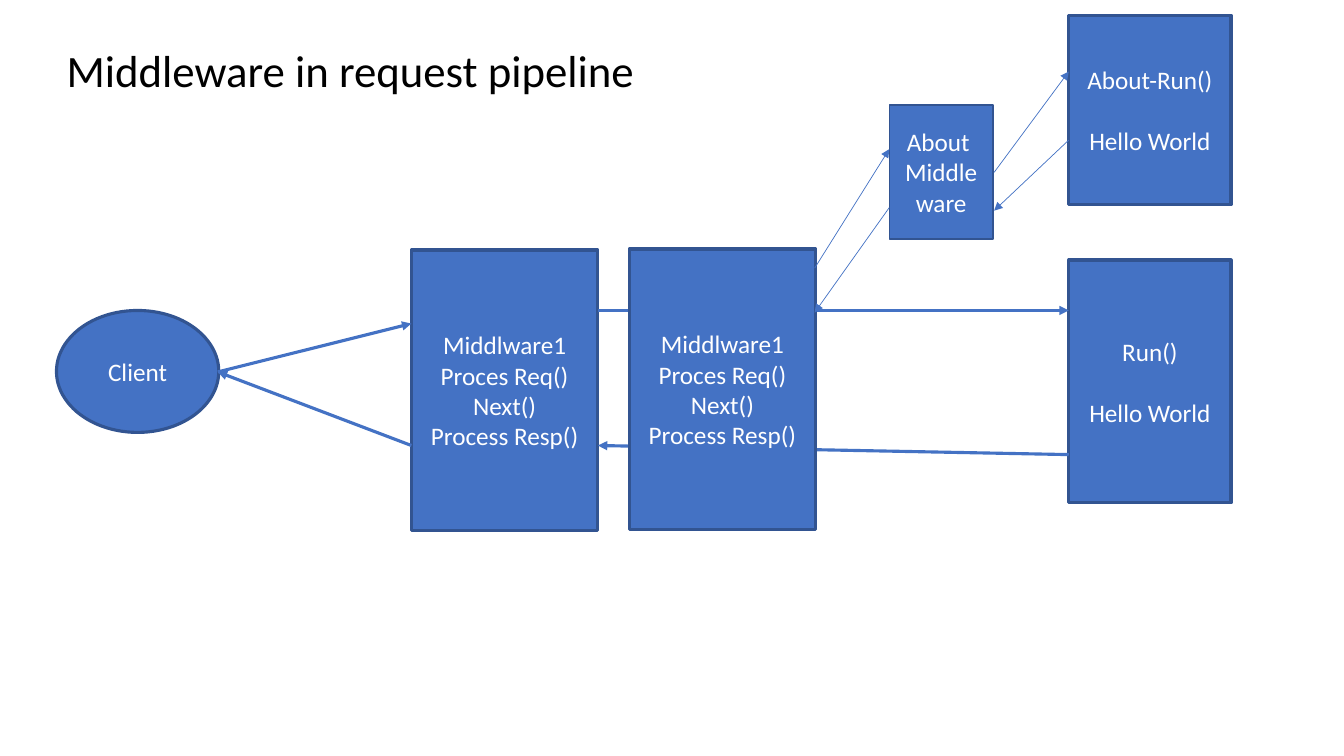
from dataclasses import dataclass

from lxml.etree import SubElement
from pptx import Presentation
from pptx.dml.color import RGBColor
from pptx.enum.shapes import MSO_CONNECTOR, MSO_SHAPE
from pptx.enum.text import MSO_ANCHOR, MSO_AUTO_SIZE, PP_ALIGN
from pptx.oxml.ns import qn
from pptx.util import Inches, Pt


@dataclass(frozen=True)
class Theme:
    font: str = "Calibri"
    black: RGBColor = RGBColor(0, 0, 0)
    white: RGBColor = RGBColor(255, 255, 255)
    blue: RGBColor = RGBColor(0x44, 0x72, 0xC4)
    border: RGBColor = RGBColor(0x32, 0x54, 0x91)
    title_size: int = 32
    body_size: int = 18
    thick: float = 2.25
    medium: float = 1
    thin: float = 0.5


theme = Theme()


def write_text(shape, lines, size=theme.body_size, color=theme.white,
               align=PP_ALIGN.CENTER, anchor=MSO_ANCHOR.MIDDLE, gap=0):
    frame = shape.text_frame
    frame.word_wrap = True
    frame.auto_size = MSO_AUTO_SIZE.NONE
    frame.vertical_anchor = anchor
    frame.margin_left = frame.margin_right = Inches(0.1)
    frame.margin_top = frame.margin_bottom = Inches(0.05)
    for index, line in enumerate(lines):
        paragraph = frame.add_paragraph() if index else frame.paragraphs[0]
        paragraph.alignment = align
        paragraph.space_before = Pt(gap if index else 0)
        run = paragraph.add_run()
        run.text = line
        run.font.name = theme.font
        run.font.size = Pt(size)
        run.font.color.rgb = color


def add_arrow(slide, start, end, width):
    arrow = slide.shapes.add_connector(
        MSO_CONNECTOR.STRAIGHT, *map(Inches, start + end))
    arrow.line.color.rgb = theme.blue
    arrow.line.width = Pt(width)
    SubElement(arrow.line._get_or_add_ln(), qn("a:tailEnd"), type="triangle")
    SubElement(arrow._element.spPr, qn("a:effectLst"))


presentation = Presentation()
presentation.slide_width = Inches(13.33)
presentation.slide_height = Inches(7.5)
slide = presentation.slides.add_slide(presentation.slide_layouts[5])

title = slide.shapes.title
title.left, title.top, title.width, title.height = map(
    Inches, (0.56, 0.37, 7.07, 0.64))
write_text(title, ["Middleware in request pipeline"], size=theme.title_size,
           color=theme.black, align=PP_ALIGN.LEFT, anchor=MSO_ANCHOR.TOP)

client_right = 2.16
first_left, first_right = 4.08, 5.93
second_left, second_right = 6.24, 8.08
about_left, about_right = 8.82, 9.86
run_left = 10.6

rectangle, ellipse = MSO_SHAPE.RECTANGLE, MSO_SHAPE.OVAL
middleware_lines = ["Middlware1", "Proces Req()", "Next()", "Process Resp()"]
blank_line = 22
boxes_behind = [
    (rectangle, (run_left, 2.58, 1.61, 2.41), ["Run()", "Hello World"],
     theme.thick, blank_line),
    (ellipse, (0.56, 3.08, 1.61, 1.21), ["Client"], theme.thick, 0),
    (rectangle, (first_left, 2.48, 1.85, 2.78), middleware_lines,
     theme.thick, 0),
]
main_arrows = [
    ((client_right, 3.69), (first_left, 3.21)),
    ((first_right, 3.08), (run_left, 3.08)),
    ((run_left, 4.51), (first_right, 4.42)),
    ((first_left, 4.42), (client_right, 3.69)),
]
boxes_in_front = [
    (rectangle, (second_left, 2.47, 1.85, 2.78), middleware_lines,
     theme.thick, 0),
    (rectangle, (run_left, 0.15, 1.61, 1.88), ["About-Run()", "Hello World"],
     theme.thick, blank_line),
    (rectangle, (about_left, 1.04, 1.03, 1.33), ["About ", "Middleware"],
     theme.medium, 0),
]
branch_arrows = [
    ((second_right, 2.66), (about_left, 1.48)),
    ((about_right, 1.71), (run_left, 0.71)),
    ((run_left, 1.39), (about_right, 2.09)),
    ((about_left, 2.06), (second_right, 3.1)),
]

for boxes, arrows, arrow_width in [
    (boxes_behind, main_arrows, theme.thick),
    (boxes_in_front, branch_arrows, theme.thin),
]:
    for kind, place, lines, border_width, gap in boxes:
        box = slide.shapes.add_shape(kind, *map(Inches, place))
        box.shadow.inherit = False
        box.fill.solid()
        box.fill.fore_color.rgb = theme.blue
        box.line.color.rgb = theme.border
        box.line.width = Pt(border_width)
        write_text(box, lines, gap=gap)
    for start, end in arrows:
        add_arrow(slide, start, end, arrow_width)

presentation.save("out.pptx")
